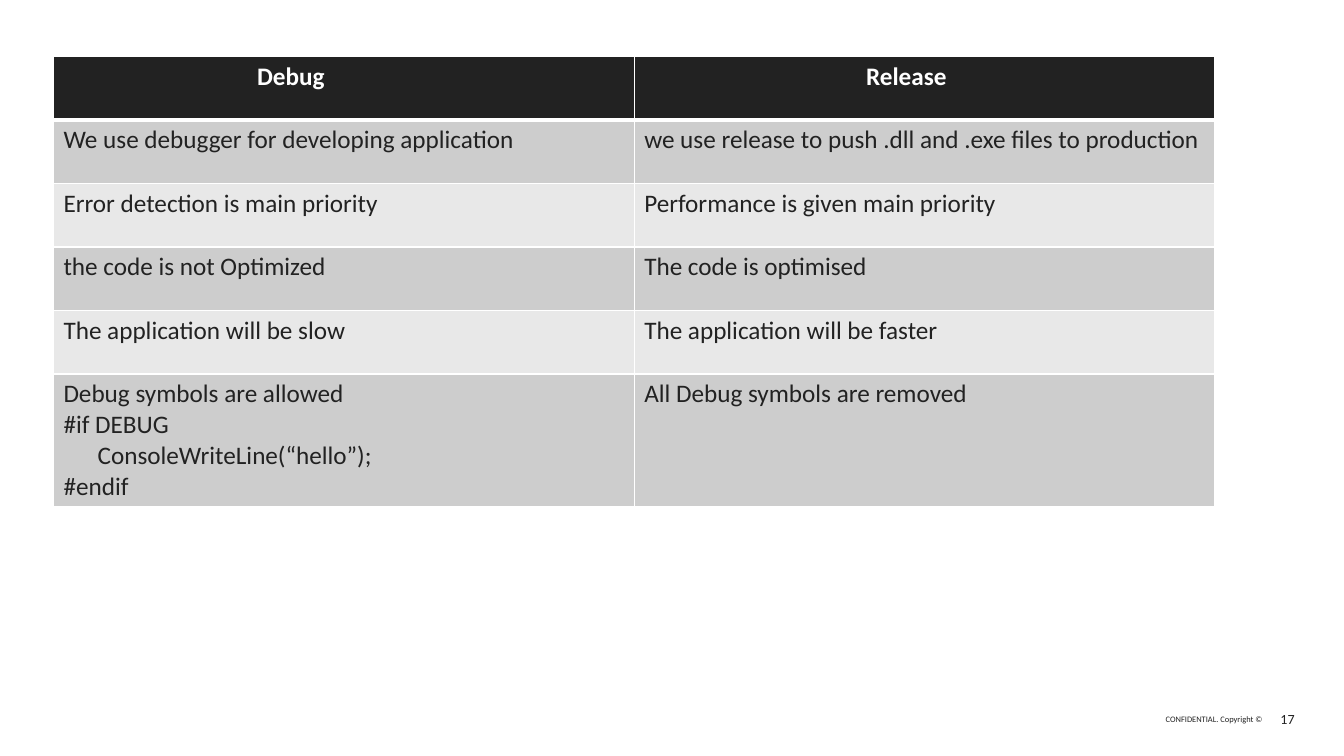
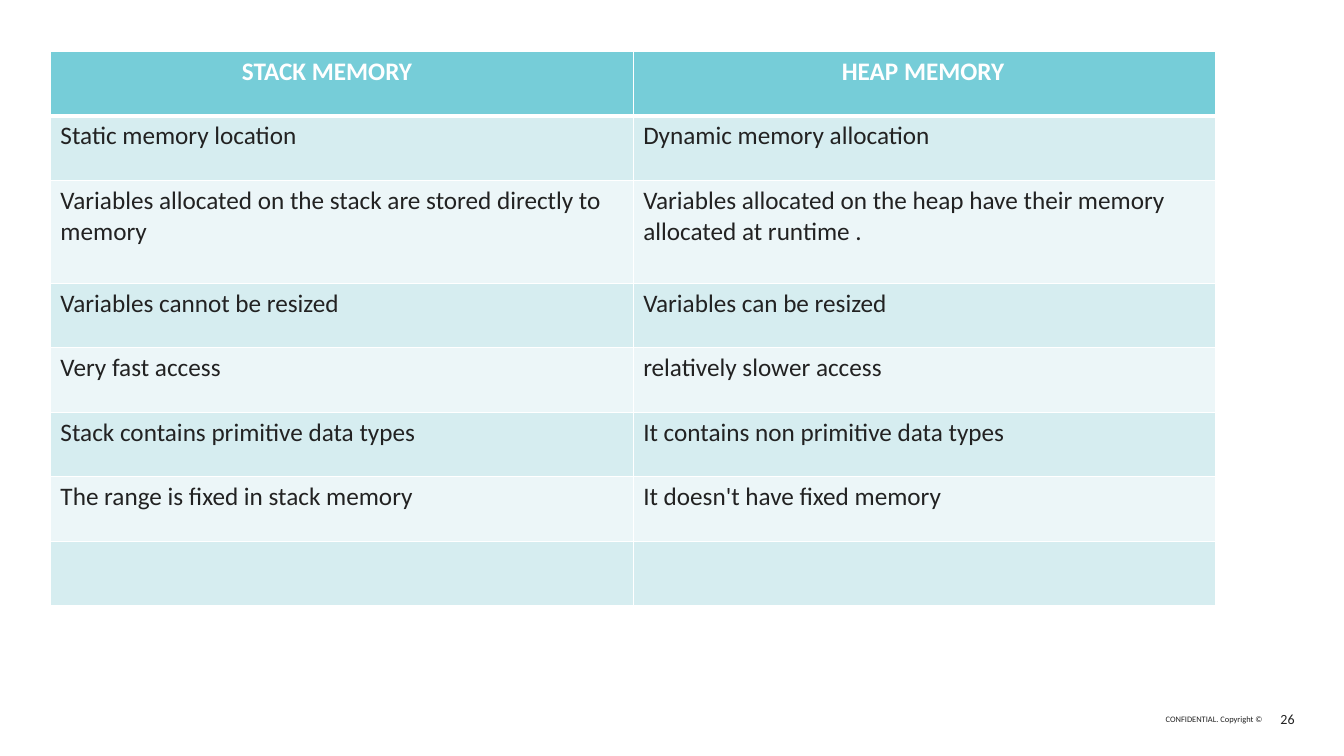
from copy import deepcopy
from dataclasses import dataclass

from lxml.etree import SubElement
from pptx import Presentation
from pptx.dml.color import RGBColor
from pptx.enum.text import MSO_ANCHOR, PP_ALIGN
from pptx.oxml.ns import qn
from pptx.slide import Slide, SlideLayout
from pptx.table import _Cell as Cell
from pptx.text.text import TextFrame
from pptx.util import Inches, Pt


@dataclass(frozen=True)
class Theme:
    font: str = "Calibri"
    ink: str = "222222"
    white: str = "FFFFFF"
    table_size: int = 18
    footer_size: int = 6
    number_size: int = 10
    grid_line: float = 1
    header_line: float = 3
    cell_margin: float = 0.1


@dataclass(frozen=True)
class Palette:
    header: str
    bands: tuple[str, str]


@dataclass(frozen=True)
class Comparison:
    """A two-column table slide; indents place the header words in their cells."""
    number: int
    left: float
    top: float
    col_width: float
    row_heights: list[float]
    palette: Palette
    header_indents: tuple[float, float]
    rows: list[tuple[str, str]]


THEME = Theme()
GREY = Palette("222222", ("CDCDCD", "E8E8E8"))
TEAL = Palette("76CDD8", ("D6EDF0", "ECF6F8"))
FOOTER_IDX, NUMBER_IDX = 11, 12
FOOTER_TOP, FOOTER_HEIGHT = 7.01, 0.24
FOOTER_TEXT = "CONFIDENTIAL. Copyright ©"

DEBUG_CODE = """Debug symbols are allowed
#if DEBUG
      ConsoleWriteLine(“hello”);
#endif"""

SLIDES = [
    Comparison(
        17, 0.53, 0.56, 5.76, [0.63] * 5 + [1.31], GREY, (1.92, 2.2),
        [
            ("Debug", "Release"),
            ("We use debugger for developing application",
             "we use release to push .dll and .exe files to production"),
            ("Error detection is main priority", "Performance is given main priority"),
            ("the code is not Optimized", "The code is optimised"),
            ("The application will be slow", "The application will be faster"),
            (DEBUG_CODE, "All Debug symbols are removed"),
        ],
    ),
    Comparison(
        26, 0.5, 0.51, 5.78, [0.64] * 2 + [1.02] + [0.64] * 5, TEAL, (1.8, 1.97),
        [
            ("STACK MEMORY", "HEAP MEMORY"),
            ("Static memory location", "Dynamic memory allocation"),
            ("Variables allocated on the stack are stored directly to memory",
             "Variables allocated on the heap have their memory allocated at runtime ."),
            ("Variables cannot be resized", "Variables can be resized"),
            ("Very fast access", "relatively slower access"),
            ("Stack contains primitive data types", "It contains non primitive data types"),
            ("The range is fixed in stack memory", "It doesn't have fixed memory"),
            ("", ""),
        ],
    ),
]


def write(tf: TextFrame, text: str, size: int, color: str, bold: bool = False) -> None:
    tf.text = text
    for p in tf.paragraphs:
        for r in p.runs:
            r.font.name = THEME.font
            r.font.size = Pt(size)
            r.font.bold = bold
            r.font.color.rgb = RGBColor.from_string(color)


def place_footers(layout: SlideLayout) -> None:
    """Position the layout's footer and slide number, and drop its date."""
    spans = {FOOTER_IDX: (11.49, 1.03), NUMBER_IDX: (12.57, 0.27)}
    for ph in list(layout.placeholders):
        span = spans.get(ph.placeholder_format.idx)
        if span is None:
            ph.element.getparent().remove(ph.element)
            continue
        ph.left, ph.width = (Inches(length) for length in span)
        ph.top, ph.height = Inches(FOOTER_TOP), Inches(FOOTER_HEIGHT)
        tf = ph.text_frame
        tf.margin_left = tf.margin_right = tf.margin_top = tf.margin_bottom = 0
        tf.vertical_anchor = MSO_ANCHOR.MIDDLE
        tf.word_wrap = True


def add_footers(s: Slide, number: int) -> None:
    texts = {
        FOOTER_IDX: (FOOTER_TEXT, THEME.footer_size),
        NUMBER_IDX: (str(number), THEME.number_size),
    }
    for ph in s.slide_layout.placeholders:
        s.shapes.element.append(deepcopy(ph.element))
    for ph in s.placeholders:
        text, size = texts[ph.placeholder_format.idx]
        write(ph.text_frame, text, size, THEME.ink)
        ph.text_frame.paragraphs[0].alignment = PP_ALIGN.RIGHT


def set_borders(cell: Cell, top: float, bottom: float) -> None:
    tc_pr = cell._tc.get_or_add_tcPr()
    widths = {"L": THEME.grid_line, "R": THEME.grid_line, "T": top, "B": bottom}
    for side, width in widths.items():
        ln = SubElement(tc_pr, qn(f"a:ln{side}"), w=str(Pt(width)))
        fill = SubElement(ln, qn("a:solidFill"))
        SubElement(fill, qn("a:srgbClr"), val=THEME.white)


def add_comparison(s: Slide, spec: Comparison) -> None:
    columns = len(spec.header_indents)
    table = s.shapes.add_table(
        len(spec.rows), columns, Inches(spec.left), Inches(spec.top),
        Inches(spec.col_width * columns), Inches(sum(spec.row_heights)),
    ).table
    for column in table.columns:
        column.width = Inches(spec.col_width)
    for i, (texts, height) in enumerate(zip(spec.rows, spec.row_heights)):
        table.rows[i].height = Inches(height)
        header = i == 0
        fill = spec.palette.header if header else spec.palette.bands[(i - 1) % 2]
        top = THEME.header_line if i == 1 else THEME.grid_line
        bottom = THEME.header_line if header else THEME.grid_line
        for j, text in enumerate(texts):
            cell = table.cell(i, j)
            set_borders(cell, top, bottom)
            cell.fill.solid()
            cell.fill.fore_color.rgb = RGBColor.from_string(fill)
            indent = spec.header_indents[j] if header else 0
            cell.margin_left = Inches(THEME.cell_margin + indent)
            color = THEME.white if header else THEME.ink
            write(cell.text_frame, text, THEME.table_size, color, bold=header)


def main() -> None:
    prs = Presentation()
    prs.slide_width, prs.slide_height = Inches(13.33), Inches(7.5)
    layout = prs.slide_layouts.get_by_name("Blank")
    place_footers(layout)
    for spec in SLIDES:
        s = prs.slides.add_slide(layout)
        add_footers(s, spec.number)
        add_comparison(s, spec)
    prs.save("out.pptx")


if __name__ == "__main__":
    main()
